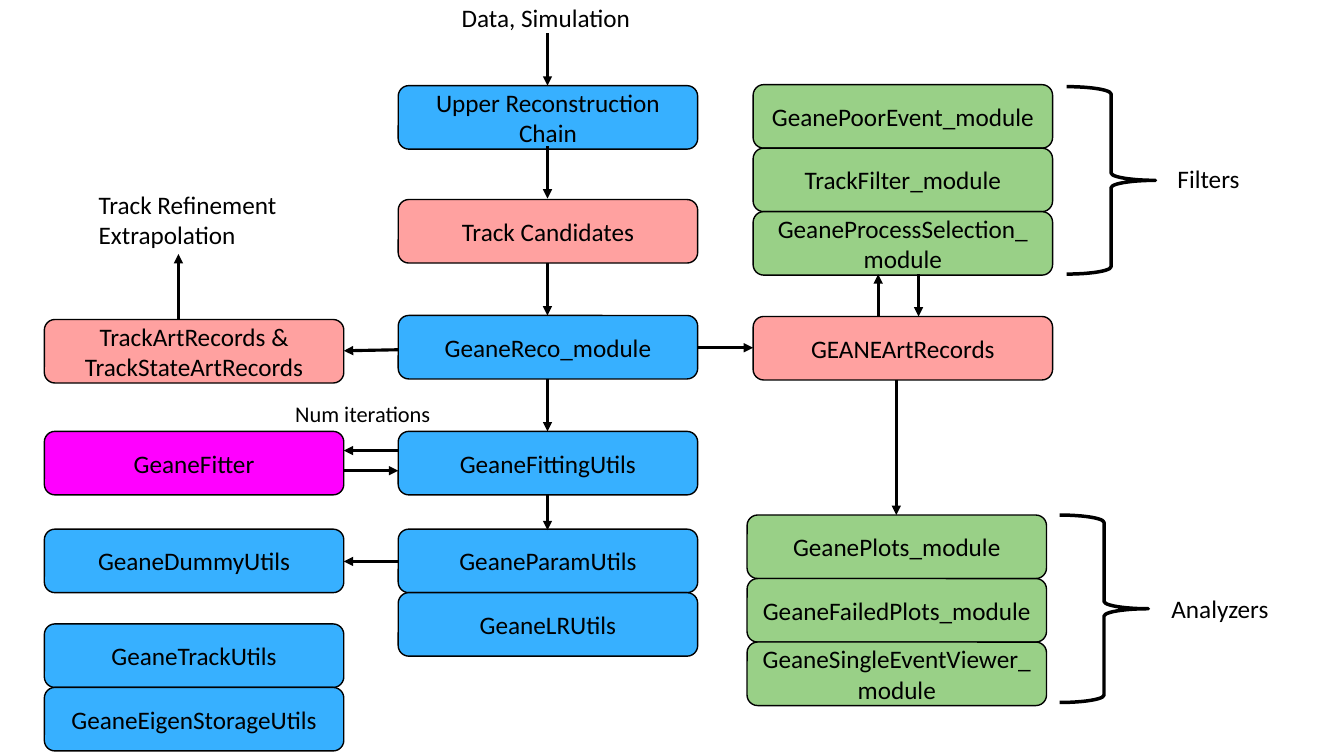
from pptx import Presentation
from pptx.dml.color import RGBColor
from pptx.enum import shapes, text
from pptx.oxml import ns
from pptx.util import Inches, Pt
from lxml import etree

BLACK = RGBColor(0x00, 0x00, 0x00)
BLUE = RGBColor(0x37, 0xB0, 0xFF)
PINK = RGBColor(0xFF, 0xA1, 0xA0)
MAGENTA = RGBColor(0xFF, 0x00, 0xFF)
GREEN = RGBColor(0x99, 0xD0, 0x87)
FONT = "Calibri"
BOX_WIDTH, BOX_HEIGHT = 2.97, 0.63
UTILS, CHAIN, RECORDS, ANALYZERS = 0.44, 3.95, 7.47, 7.41
CHAIN_MIDDLE = 5.43

STACKS = [
    (CHAIN, 0.85, BLUE, ["Upper Reconstruction Chain"]),
    (CHAIN, 1.98, PINK, ["Track Candidates"]),
    (CHAIN, 3.13, BLUE, ["GeaneReco_module"]),
    (CHAIN, 4.28, BLUE, ["GeaneFittingUtils"]),
    (CHAIN, 5.25, BLUE, ["GeaneParamUtils", "GeaneLRUtils"]),
    (UTILS, 3.17, PINK, ["TrackArtRecords & TrackStateArtRecords"]),
    (UTILS, 4.28, MAGENTA, ["GeaneFitter"]),
    (UTILS, 5.25, BLUE, ["GeaneDummyUtils"]),
    (UTILS, 6.19, BLUE, ["GeaneTrackUtils", "GeaneEigenStorageUtils"]),
    (RECORDS, 0.84, GREEN, ["GeanePoorEvent_module", "TrackFilter_module",
                            "GeaneProcessSelection_\nmodule"]),
    (RECORDS, 3.14, PINK, ["GEANEArtRecords"]),
    (ANALYZERS, 5.11, GREEN, ["GeanePlots_module", "GeaneFailedPlots_module",
                              "GeaneSingleEventViewer_module"]),
]

LABELS = [
    ("Data, Simulation", 4.48, -0.03, 1.89, 0.4, 18),
    ("Track Refinement\nExtrapolation", 0.88, 1.83, 1.99, 0.71, 18),
    ("Num iterations", 2.83, 3.92, 1.56, 0.37, 16),
    ("Filters", 11.58, 1.57, 0.82, 0.4, 18),
    ("Analyzers", 11.52, 5.84, 1.17, 0.4, 18),
]

CHAIN_STEPS = [(0.33, 0.85), (1.45, 1.97), (2.61, 3.13), (3.76, 4.28), (4.91, 5.26)]
ARROWS = [(CHAIN_MIDDLE, start, CHAIN_MIDDLE, end) for start, end in CHAIN_STEPS] + [
    (3.95, 3.47, 3.41, 3.48),
    (3.95, 4.47, 3.41, 4.47),
    (3.41, 4.67, 3.95, 4.67),
    (3.95, 5.57, 3.41, 5.57),
    (6.92, 3.45, 7.47, 3.45),
    (1.77, 3.16, 1.77, 2.52),
    (8.71, 3.14, 8.71, 2.72),
    (9.11, 2.72, 9.11, 3.14),
    (8.89, 3.77, 8.89, 5.11),
]
BRACES = [(10.58, 0.86), (10.51, 5.11)]


def write(frame, words, size, align):
    for index, line in enumerate(words.split("\n")):
        para = frame.paragraphs[0] if index == 0 else frame.add_paragraph()
        para.alignment = align
        span = para.add_run()
        span.text = line
        span.font.name = FONT
        span.font.size = Pt(size)
        span.font.color.rgb = BLACK


def outline(shape, width):
    shape.line.color.rgb = BLACK
    shape.line.width = Pt(width)


def add_box(page, words, left, top, height, color):
    box = page.shapes.add_shape(
        shapes.MSO_SHAPE.ROUNDED_RECTANGLE,
        Inches(left), Inches(top), Inches(BOX_WIDTH), Inches(height))
    box.shadow.inherit = False
    box.fill.solid()
    box.fill.fore_color.rgb = color
    outline(box, 1)
    box.text_frame.word_wrap = True
    box.text_frame.vertical_anchor = text.MSO_ANCHOR.MIDDLE
    write(box.text_frame, words, 18, text.PP_ALIGN.CENTER)


def add_label(page, words, left, top, width, height, size):
    label = page.shapes.add_textbox(
        Inches(left), Inches(top), Inches(width), Inches(height))
    label.text_frame.word_wrap = False
    label.text_frame.auto_size = text.MSO_AUTO_SIZE.SHAPE_TO_FIT_TEXT
    write(label.text_frame, words, size, text.PP_ALIGN.LEFT)


def add_arrow(page, ends):
    arrow = page.shapes.add_connector(
        shapes.MSO_CONNECTOR.STRAIGHT, *[Inches(value) for value in ends])
    outline(arrow, 2.25)
    etree.SubElement(arrow.line._get_or_add_ln(), ns.qn("a:tailEnd"), type="triangle")
    etree.SubElement(arrow._element.spPr, ns.qn("a:effectLst"))


def add_brace(page, left, top):
    brace = page.shapes.add_shape(
        shapes.MSO_SHAPE.RIGHT_BRACE,
        Inches(left), Inches(top), Inches(0.88), Inches(1.86))
    brace.shadow.inherit = False
    brace.fill.background()
    outline(brace, 2.5)


deck = Presentation()
deck.slide_width, deck.slide_height = Inches(13.33), Inches(7.5)
page = deck.slides.add_slide(deck.slide_layouts[6])

for left, top, color, names in STACKS:
    for index, name in enumerate(names):
        add_box(page, name, left, top + index * BOX_HEIGHT, BOX_HEIGHT, color)
for ends in ARROWS:
    add_arrow(page, ends)
for left, top in BRACES:
    add_brace(page, left, top)
for label in LABELS:
    add_label(page, *label)

deck.save("out.pptx")
